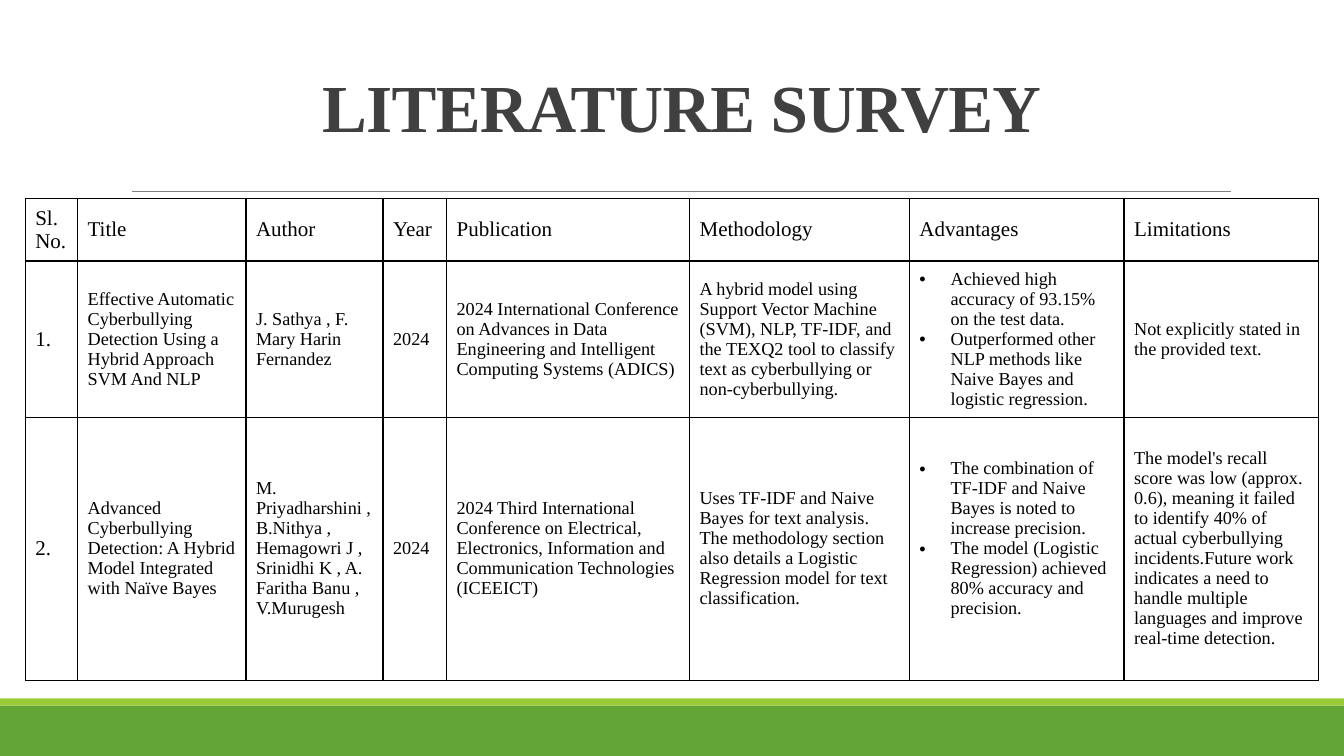
import pptx
import pptx.util
import pptx.dml.color
import pptx.enum.shapes
import pptx.enum.text
import pptx.oxml
import pptx.oxml.ns
from dataclasses import dataclass
from lxml import etree
from pptx.util import Inches


@dataclass(frozen=True)
class Theme:
    font: str = "Times New Roman"
    title_color: str = "404040"
    ink: str = "000000"
    paper: str = "FFFFFF"
    rule: str = "808080"
    green: str = "63A537"
    lime: str = "99CB38"
    title_size: int = 48
    header_size: int = 15
    body_size: int = 13


theme = Theme()


def rgb(color):
    return pptx.dml.color.RGBColor.from_string(color)


def add_run(paragraph, text, size, color, bold=False):
    run = paragraph.add_run()
    run.text = text
    run.font.name = theme.font
    run.font.size = pptx.util.Pt(size)
    run.font.bold = bold
    run.font.color.rgb = rgb(color)
    return run


presentation = pptx.Presentation()
presentation.slide_width = Inches(13.33)
presentation.slide_height = Inches(7.5)
slide = presentation.slides.add_slide(presentation.slide_layouts[5])

# Footer bands
for top, height, color in [(7, 0.5, theme.green), (6.93, 0.07, theme.lime)]:
    band = slide.shapes.add_shape(
        pptx.enum.shapes.MSO_SHAPE.RECTANGLE,
        Inches(0), Inches(top), Inches(13.33), Inches(height))
    band.shadow.inherit = False
    band.fill.solid()
    band.fill.fore_color.rgb = rgb(color)
    band.line.fill.background()

# Rule under the title
rule = slide.shapes.add_connector(
    pptx.enum.shapes.MSO_CONNECTOR.STRAIGHT,
    Inches(1.31), Inches(1.9), Inches(12.21), Inches(1.9))
rule.line.color.rgb = rgb(theme.rule)
rule.line.width = pptx.util.Pt(0.5)
etree.SubElement(rule.element.spPr, pptx.oxml.ns.qn("a:effectLst"))

# Title
title = slide.shapes.title
title.left, title.top = Inches(1.26), Inches(0.52)
title.width, title.height = Inches(11), Inches(0.98)
title.text_frame.auto_size = pptx.enum.text.MSO_AUTO_SIZE.NONE
title.text_frame.vertical_anchor = pptx.enum.text.MSO_ANCHOR.BOTTOM
paragraph = title.text_frame.paragraphs[0]
paragraph.alignment = pptx.enum.text.PP_ALIGN.CENTER
paragraph.line_spacing = 0.85
run = add_run(paragraph, "LITERATURE SURVEY", theme.title_size, theme.title_color, bold=True)
run.font._element.set("spc", "-50")

# Survey content: a tuple is a bulleted list
survey = [
    ["Sl.\nNo.", "Title", "Author", "Year", "Publication", "Methodology",
     "Advantages", "Limitations"],
    ["1.",
     "Effective Automatic Cyberbullying Detection Using a Hybrid Approach SVM And NLP",
     "J. Sathya , F. Mary Harin Fernandez",
     "2024",
     "2024 International Conference on Advances in Data Engineering and "
     "Intelligent Computing Systems (ADICS)",
     "A hybrid model using Support Vector Machine (SVM), NLP, TF-IDF, and the "
     "TEXQ2 tool to classify text as cyberbullying or non-cyberbullying.",
     ("Achieved high accuracy of 93.15% on the test data.",
      "Outperformed other NLP methods like Naive Bayes and logistic regression."),
     "Not explicitly stated in the provided text."],
    ["2.",
     "Advanced Cyberbullying Detection: A Hybrid Model Integrated with Naïve Bayes",
     "M. Priyadharshini , B.Nithya , Hemagowri J , Srinidhi K , A. Faritha Banu , V.Murugesh",
     "2024",
     "2024 Third International Conference on Electrical, Electronics, "
     "Information and Communication Technologies (ICEEICT)",
     "Uses TF-IDF and Naive Bayes for text analysis. The methodology section "
     "also details a Logistic Regression model for text classification.",
     ("The combination of TF-IDF and Naive Bayes is noted to increase precision.",
      "The model (Logistic Regression) achieved 80% accuracy and precision."),
     "The model's recall score was low (approx. 0.6), meaning it failed to "
     "identify 40% of actual cyberbullying incidents.Future work indicates a "
     "need to handle multiple languages and improve real-time detection."],
]
column_widths = [0.52, 1.67, 1.36, 0.63, 2.41, 2.18, 2.13, 1.93]
row_heights = [0.62, 1.55, 2.61]

# Table grid
table = slide.shapes.add_table(
    len(row_heights), len(column_widths),
    Inches(0.25), Inches(1.97), Inches(12.84), Inches(4.85)).table
table.first_row = False
table.horz_banding = False
for column, width in zip(table.columns, column_widths):
    column.width = Inches(width)
for row, height in zip(table.rows, row_heights):
    row.height = Inches(height)

# Table cells
namespace = pptx.oxml.ns.nsdecls("a")
for row_index, entries in enumerate(survey):
    for column_index, entry in enumerate(entries):
        cell = table.cell(row_index, column_index)
        cell.vertical_anchor = pptx.enum.text.MSO_ANCHOR.MIDDLE
        properties = cell._tc.get_or_add_tcPr()
        for side in ("lnL", "lnR", "lnT", "lnB"):
            properties.append(pptx.oxml.parse_xml(
                f'<a:{side} {namespace} w="12700"><a:solidFill>'
                f'<a:srgbClr val="{theme.ink}"/></a:solidFill></a:{side}>'))
        cell.fill.solid()
        cell.fill.fore_color.rgb = rgb(theme.paper)

        large = row_index == 0 or column_index == 0
        size = theme.header_size if large else theme.body_size
        bulleted = isinstance(entry, tuple)
        for index, text in enumerate(entry if bulleted else [entry]):
            frame = cell.text_frame
            paragraph = frame.paragraphs[0] if index == 0 else frame.add_paragraph()
            if bulleted:
                paragraph_properties = paragraph._p.get_or_add_pPr()
                paragraph_properties.set("marL", str(Inches(0.31)))
                paragraph_properties.set("indent", str(-Inches(0.31)))
                paragraph_properties.append(pptx.oxml.parse_xml(
                    f'<a:buFont {namespace} typeface="Arial"/>'))
                paragraph_properties.append(pptx.oxml.parse_xml(
                    f'<a:buChar {namespace} char="•"/>'))
            for line_index, line in enumerate(text.split("\n")):
                if line_index:
                    paragraph.add_line_break()
                add_run(paragraph, line, size, theme.ink)

# The last advantages list sits slightly above the middle
table.cell(2, 6).margin_bottom = Inches(0.25)

presentation.save("out.pptx")
